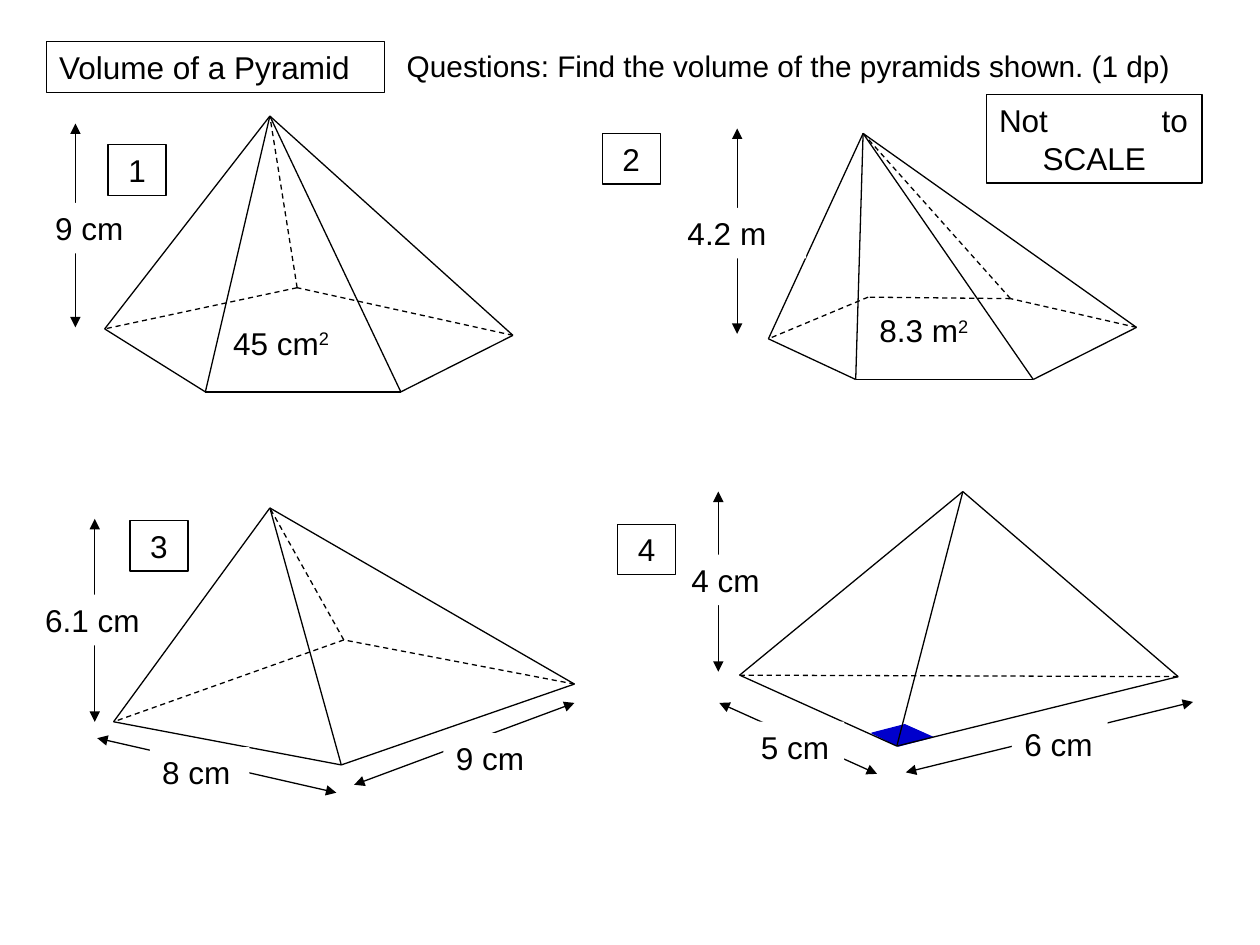
from lxml import etree
from pptx import Presentation
from pptx.dml.color import RGBColor
from pptx.enum.dml import MSO_LINE
from pptx.enum.shapes import MSO_CONNECTOR, MSO_SHAPE
from pptx.enum.text import MSO_ANCHOR, MSO_AUTO_SIZE, PP_ALIGN
from pptx.oxml.ns import qn
from pptx.util import Cm, Pt

STRAIGHT = MSO_CONNECTOR.STRAIGHT
RECTANGLE = MSO_SHAPE.RECTANGLE
DASH = MSO_LINE.DASH
TOP = MSO_ANCHOR.TOP
NO_AUTOFIT = MSO_AUTO_SIZE.NONE
LEFT, CENTER = PP_ALIGN.LEFT, PP_ALIGN.CENTER

COLORS = {"ink": "000000", "paper": "FFFFFF", "right_angle": "0000CC"}
FONT = {"name": "Arial", "size": Pt(18), "bold": False}
LINE_WIDTH = Pt(0.75)
LINE_HEIGHT = 1.02
NUMBER_WIDTH = 1.17
AREA_WIDTH = 3.71
TITLE_LAYOUT = 5

# All positions are in centimetres: boxes are (left, top, width, height).
TITLE = ("Volume of a Pyramid", (0.94, 0.84, 6.81, LINE_HEIGHT))
QUESTION = ("Questions: Find the volume of the pyramids shown. (1 dp)",
            (7.95, 0.84, 17.45, LINE_HEIGHT))
SCALE_NOTE = (["Not\tto", "SCALE"], (19.89, 1.91, 4.34, 1.78))
SCALE_TAB = 3.81

# Front corners run left to right, back corners right to left.
# A dimension is (arrow start, arrow end, label, label left, top, width).
PYRAMIDS = [
    {
        "number_at": (2.18, 2.92),
        "apex": (5.44, 2.34),
        "front": [(2.11, 6.63), (4.14, 7.9), (8.08, 7.9), (10.34, 6.76)],
        "back": [(5.99, 5.8)],
        "area": ("45 cm", (4.45, 6.4)),
        "dimensions": [((1.52, 2.49), (1.52, 6.6), "9 cm", 0.86, 4.09, 2.01)],
    },
    {
        "number_at": (12.14, 2.69),
        "apex": (17.4, 2.69),
        "front": [(15.49, 6.83), (17.25, 7.65), (20.83, 7.65), (22.91, 6.6)],
        "back": [(20.37, 6.02), (17.5, 5.99)],
        "area": ("8.3 m", (17.48, 6.15)),
        "dimensions": [((14.86, 2.59), (14.86, 6.73), "4.2 m", 13.61, 4.19, 2.64)],
    },
    {
        "number_at": (2.62, 10.49),
        "apex": (5.44, 10.24),
        "front": [(2.29, 14.55), (6.88, 15.42), (11.58, 13.79)],
        "back": [(6.93, 12.9)],
        "dimensions": [
            ((1.91, 10.46), (1.91, 14.55), "6.1 cm", 0.66, 11.99, 2.59),
            ((1.96, 14.88), (6.78, 15.98), "8 cm", 3.02, 15.06, 2.01),
            ((7.14, 15.82), (11.58, 14.17), "9 cm", 8.94, 14.78, 2.01),
        ],
    },
    {
        "number_at": (12.45, 10.57),
        "apex": (19.41, 9.91),
        "front": [(14.91, 13.61), (18.08, 15.04), (23.75, 13.64)],
        "back": [],
        "right_angle": [(17.58, 14.78), (18.24, 14.61), (18.8, 14.86), (18.11, 15.04)],
        "dimensions": [
            ((14.48, 9.91), (14.48, 13.54), "4 cm", 13.69, 11.18, 2.01),
            ((14.5, 14.17), (17.68, 15.6), "5 cm", 15.09, 14.55, 1.93),
            ((18.26, 15.57), (24.05, 14.15), "6 cm", 20.4, 14.5, 1.93),
        ],
    },
]


def color(name):
    return RGBColor.from_string(COLORS[name])


def draw_line(slide, start, end, dashed=False, arrows=False):
    connector = slide.shapes.add_connector(STRAIGHT, *map(Cm, start + end))
    connector.line.color.rgb = color("ink")
    connector.line.width = LINE_WIDTH
    if dashed:
        connector.line.dash_style = DASH
    if arrows:
        line = connector.line._get_or_add_ln()
        for tag in ("a:headEnd", "a:tailEnd"):
            etree.SubElement(line, qn(tag), type="triangle")
    etree.SubElement(connector._element.spPr, qn("a:effectLst"))


def write(paragraph, text, alignment=LEFT, size=FONT["size"], superscript=""):
    paragraph.alignment = alignment
    for part in filter(None, (text, superscript)):
        run = paragraph.add_run()
        run.text = part
        for attribute, value in {**FONT, "size": size}.items():
            setattr(run.font, attribute, value)
        run.font.color.rgb = color("ink")
    if superscript:
        run._r.get_or_add_rPr().set("baseline", "30000")


def prepare_frame(shape):
    frame = shape.text_frame
    settings = {"word_wrap": True, "auto_size": NO_AUTOFIT, "vertical_anchor": TOP}
    for attribute, value in settings.items():
        setattr(frame, attribute, value)
    return frame.paragraphs[0]


def add_outline(shape):
    shape.line.color.rgb = color("ink")
    shape.line.width = LINE_WIDTH


def add_text(slide, text, box, **style):
    write(prepare_frame(slide.shapes.add_textbox(*map(Cm, box))), text, **style)


def add_box(slide, box, outlined=True):
    """Add an outlined empty box, or a white one that interrupts an arrow."""
    shape = slide.shapes.add_shape(RECTANGLE, *map(Cm, box))
    shape.shadow.inherit = False
    if outlined:
        shape.fill.background()
        add_outline(shape)
    else:
        shape.fill.solid()
        shape.fill.fore_color.rgb = color("paper")
        shape.line.fill.background()
    return shape


def draw_right_angle(slide, corners):
    points = [(Cm(x), Cm(y)) for x, y in corners]
    builder = slide.shapes.build_freeform(*points[0])
    builder.add_line_segments(points[1:], close=True)
    shape = builder.convert_to_shape()
    shape.shadow.inherit = False
    shape.fill.solid()
    shape.fill.fore_color.rgb = shape.line.color.rgb = color("right_angle")
    shape.line.width = LINE_WIDTH


def draw_pyramid(slide, number, pyramid):
    front, back, apex = pyramid["front"], pyramid["back"], pyramid["apex"]
    if "right_angle" in pyramid:
        draw_right_angle(slide, pyramid["right_angle"])
    base = front + back
    for index, corner in enumerate(base):
        draw_line(slide, corner, base[(index + 1) % len(base)],
                  dashed=index >= len(front) - 1)
    # Only the first back corner has a visible edge to the apex.
    for corner in front + back[:1]:
        draw_line(slide, corner, apex, dashed=corner in back)
    if "area" in pyramid:
        text, position = pyramid["area"]
        add_text(slide, text, (*position, AREA_WIDTH, LINE_HEIGHT), superscript="2")
    for start, end, label, left, top, width in pyramid["dimensions"]:
        draw_line(slide, start, end, arrows=True)
        shape = add_box(slide, (left, top, width, LINE_HEIGHT), outlined=False)
        write(prepare_frame(shape), label)
    shape = add_box(slide, (*pyramid["number_at"], NUMBER_WIDTH, LINE_HEIGHT))
    write(prepare_frame(shape), str(number), CENTER)


def add_title(slide):
    text, box = TITLE
    title = slide.shapes.title
    for attribute, value in zip(("left", "top", "width", "height"), box):
        setattr(title, attribute, Cm(value))
    add_outline(title)
    write(prepare_frame(title), text)


def add_scale_note(slide):
    (spread_text, centered_text), box = SCALE_NOTE
    shape = add_box(slide, box)
    paragraph = prepare_frame(shape)
    tabs = etree.SubElement(paragraph._p.get_or_add_pPr(), qn("a:tabLst"))
    etree.SubElement(tabs, qn("a:tab"), pos=str(Cm(SCALE_TAB)), algn="r")
    write(paragraph, spread_text)
    write(shape.text_frame.add_paragraph(), centered_text, CENTER)


def main():
    presentation = Presentation()
    presentation.slide_width, presentation.slide_height = Cm(25.4), Cm(19.05)
    slide = presentation.slides.add_slide(presentation.slide_layouts[TITLE_LAYOUT])
    add_title(slide)
    add_text(slide, *QUESTION, size=Pt(17))
    for number, pyramid in enumerate(PYRAMIDS, start=1):
        draw_pyramid(slide, number, pyramid)
    add_scale_note(slide)
    presentation.save("out.pptx")


if __name__ == "__main__":
    main()
